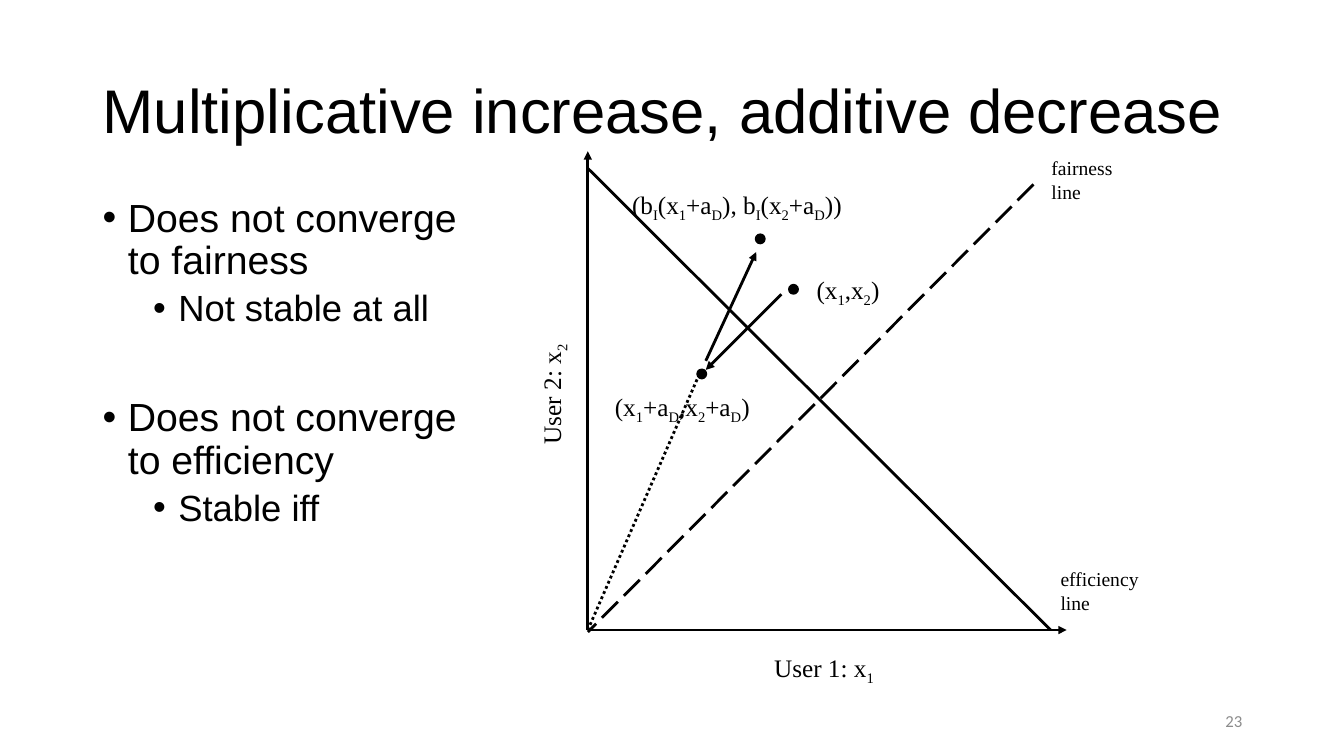
import pptx
import pptx.util
import pptx.dml.color
import pptx.enum.dml
import pptx.enum.shapes
import pptx.enum.text
import pptx.oxml.ns
import lxml.etree

Inches, Pt = pptx.util.Inches, pptx.util.Pt
BLACK = pptx.dml.color.RGBColor(0x00, 0x00, 0x00)
GRAY = pptx.dml.color.RGBColor(0x8C, 0x8C, 0x8C)
DASH = pptx.enum.dml.MSO_LINE
ALIGN = pptx.enum.text.PP_ALIGN
ANCHOR = pptx.enum.text.MSO_ANCHOR
FIT = pptx.enum.text.MSO_AUTO_SIZE

# Content: an underscore puts the next character in subscript
TITLE = "Multiplicative increase, additive decrease"
PAGE_NUMBER = "23"
# text, left margin, size, space before
BULLETS = [
    ("Does not converge to fairness", 0.25, 28, 0),
    ("Not stable at all", 0.75, 26, 5),
    ("Does not converge to efficiency", 0.25, 28, 49),
    ("Stable iff", 0.75, 26, 5),
]
# lines, box, size, rotation, wrap
LABELS = [
    (["User 1: x_1"], (7.58, 6.42, 1.21, 0.4), 18, 0, False),
    (["User 2: x_2"], (4.86, 3.7, 1.21, 0.4), 18, 270, False),
    (["fairness", "line"], (10.33, 1.5, 0.81, 0.57), 14, 0, False),
    (["efficiency", "line"], (10.42, 5.58, 0.98, 0.57), 14, 0, False),
    (["(x_1,x_2)"], (8, 2.67, 0.85, 0.4), 18, 0, False),
    (["(x_1+a_D,x_2+a_D)"], (6, 3.83, 1.6, 0.4), 18, 0, False),
    (["(b_I(x_1+a_D), b_I(x_2+a_D))"], (6.17, 1.83, 2.92, 0.4), 18, 0, True),
]
ORIGIN = (5.83, 6.25)
# start, end, dash, arrowhead
LINES = [
    (ORIGIN, (5.83, 1.5), None, True),  # user 2 axis
    (ORIGIN, (10.58, 6.25), None, True),  # user 1 axis
    ((10.25, 1.83), (5.83, 6.27), DASH.LONG_DASH, False),  # fairness
    ((5.83, 1.67), (10.42, 6.25), None, False),  # efficiency
    ((7.75, 2.92), (7, 3.67), None, True),  # additive decrease
    ((7, 3.58), (7.5, 2.5), None, True),  # multiplicative increase
    (ORIGIN, (6.92, 3.75), DASH.ROUND_DOT, False),  # ray from the origin
]
POINTS = [(7.83, 2.83), (6.92, 3.67), (7.5, 2.33)]
POINT_SIZE = 0.08


def apply_format(target, values):
    for name, value in values.items():
        setattr(target, name, value)


def add_box(slide, box, **frame_format):
    shape = slide.shapes.add_textbox(*map(Inches, box))
    apply_format(shape.text_frame, {"word_wrap": True, **frame_format})
    return shape


def add_run(paragraph, text, font_name, size, color=BLACK):
    run = paragraph.add_run()
    run.text = text
    apply_format(run.font, {"name": font_name, "size": Pt(size)})
    run.font.color.rgb = color
    return run


def next_paragraph(frame, index):
    return frame.add_paragraph() if index else frame.paragraphs[0]


def add_math(paragraph, text, size):
    first, *rest = text.split("_")
    pieces = [(first, False)]
    for part in rest:
        pieces += [(part[0], True), (part[1:], False)]
    for piece, subscript in pieces:
        if piece:
            run = add_run(paragraph, piece, "Times New Roman", size)
            if subscript:
                run.font._element.set("baseline", "-25000")


def add_line(slide, start, end, dash, arrow):
    connector = slide.shapes.add_connector(
        pptx.enum.shapes.MSO_CONNECTOR.STRAIGHT, *map(Inches, start + end))
    connector.line.color.rgb = BLACK
    apply_format(connector.line, {"width": Pt(2), "dash_style": dash})
    if arrow:
        lxml.etree.SubElement(connector.line._get_or_add_ln(),
                              pptx.oxml.ns.qn("a:tailEnd"), type="triangle")
    lxml.etree.SubElement(connector._element.spPr, pptx.oxml.ns.qn("a:effectLst"))


def main():
    presentation = pptx.Presentation()
    apply_format(presentation, {"slide_width": Inches(13.33), "slide_height": Inches(7.5)})
    slide = presentation.slides.add_slide(presentation.slide_layouts[6])

    # Title and page number
    title = add_box(slide, (0.92, 0.4, 11.5, 1.45), vertical_anchor=ANCHOR.MIDDLE)
    paragraph = title.text_frame.paragraphs[0]
    paragraph.line_spacing = 0.9
    add_run(paragraph, TITLE, "Arial", 44)
    number = add_box(slide, (9.42, 6.95, 3, 0.4), vertical_anchor=ANCHOR.MIDDLE)
    paragraph = number.text_frame.paragraphs[0]
    paragraph.alignment = ALIGN.RIGHT
    add_run(paragraph, PAGE_NUMBER, "Calibri", 12, GRAY)

    # Diagram lines and points
    for line in LINES:
        add_line(slide, *line)
    for left, top in POINTS:
        point = slide.shapes.add_shape(
            pptx.enum.shapes.MSO_SHAPE.OVAL,
            *map(Inches, (left, top, POINT_SIZE, POINT_SIZE)))
        point.shadow.inherit = False
        point.fill.solid()
        point.fill.fore_color.rgb = BLACK
        point.line.color.rgb = BLACK
        point.line.width = Pt(2)

    # Diagram labels
    for lines, box, size, rotation, wrap in LABELS:
        label = add_box(slide, box, word_wrap=wrap, auto_size=FIT.SHAPE_TO_FIT_TEXT)
        label.rotation = rotation
        for index, text in enumerate(lines):
            add_math(next_paragraph(label.text_frame, index), text, size)

    # Bullet list
    body = add_box(slide, (0.92, 1.92, 4.01, 4.01))
    for index, (text, margin, size, space) in enumerate(BULLETS):
        paragraph = next_paragraph(body.text_frame, index)
        apply_format(paragraph, {"line_spacing": 0.9, "space_before": Pt(space),
                                 "level": int(margin > 0.5)})
        properties = paragraph._p.get_or_add_pPr()
        properties.set("marL", str(Inches(margin)))
        properties.set("indent", str(-Inches(0.25)))
        lxml.etree.SubElement(properties, pptx.oxml.ns.qn("a:buFont"), typeface="Arial")
        lxml.etree.SubElement(properties, pptx.oxml.ns.qn("a:buChar"), char="•")
        add_run(paragraph, text, "Arial", size)

    presentation.save("out.pptx")


if __name__ == "__main__":
    main()
